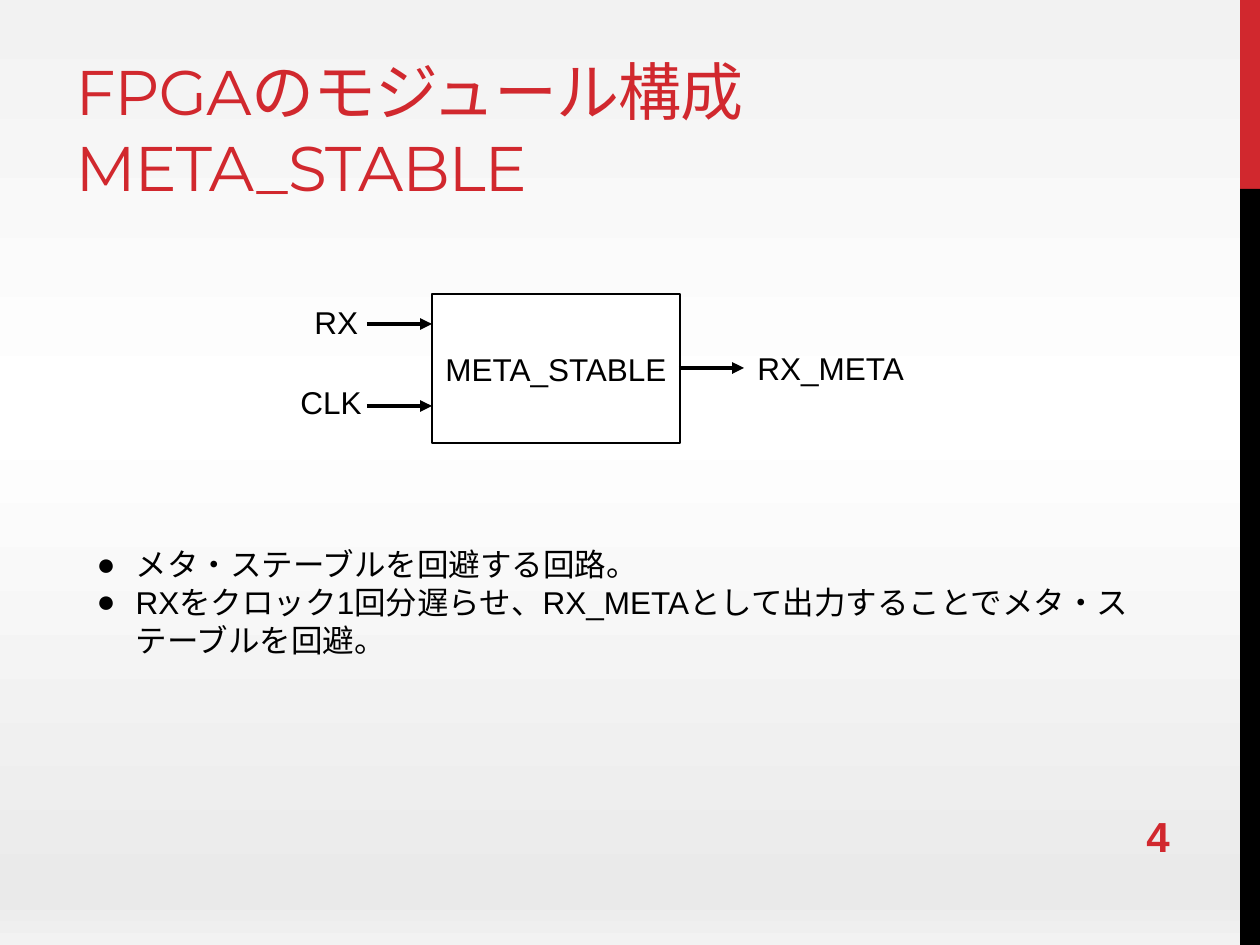
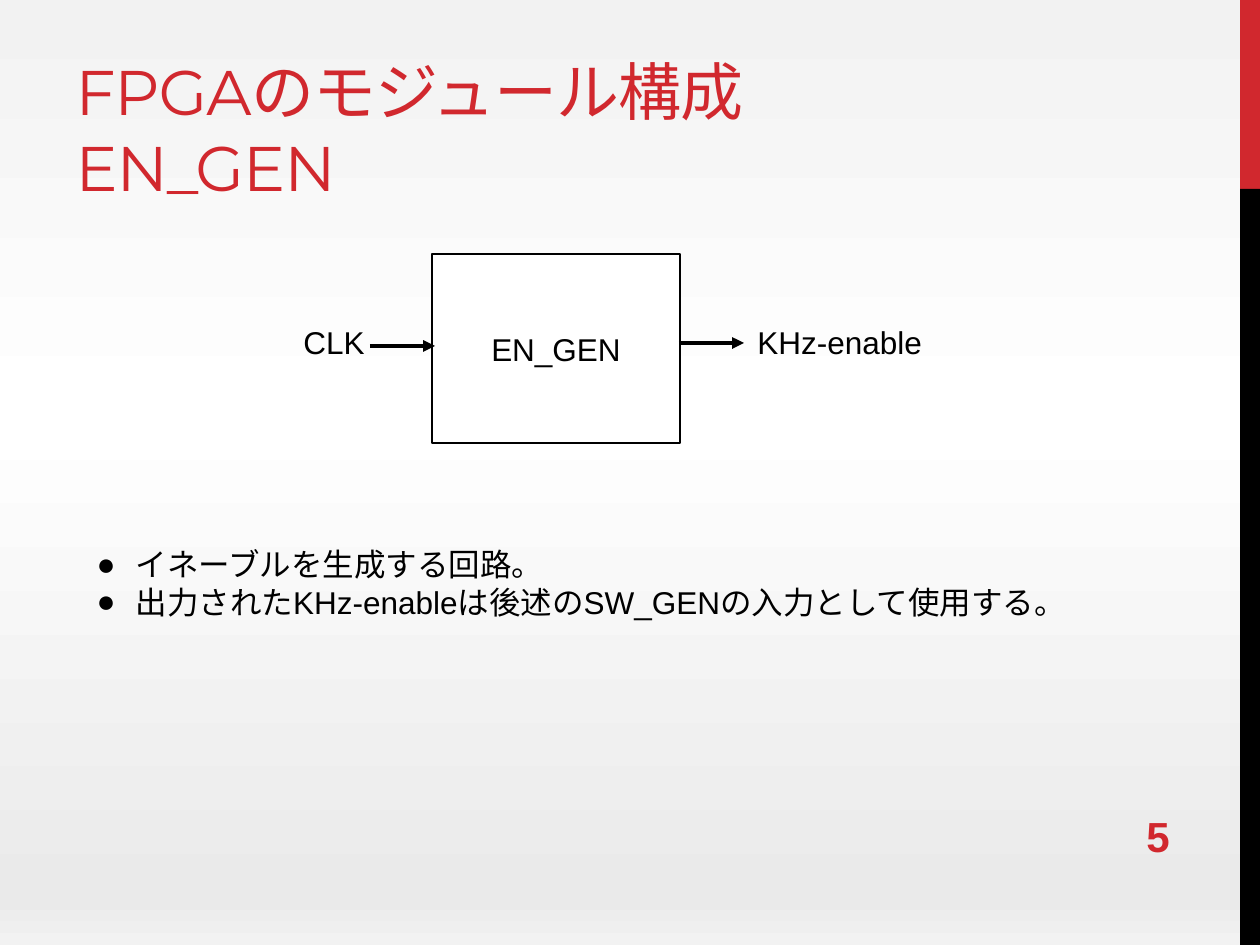
import pptx
import pptx.util
import pptx.dml.color
import pptx.enum.shapes
import pptx.enum.text
import pptx.oxml
import pptx.oxml.ns
from lxml import etree

RGB = pptx.dml.color.RGBColor
RED, BLACK, WHITE = RGB(0xD1, 0x28, 0x2E), RGB(0, 0, 0), RGB(255, 255, 255)
BACKGROUND = [(0, "F2F2F2"), (44, "FFFFFF"), (95, "EAEAEA"), (100, "F2F2F2")]
BODY_FONT, TITLE_FONT = "Arial", "Montserrat"

# Content: each port is (text, label left, label top, label width, arrow left, arrow y)
MODULES = [
    {
        "number": "4",
        "name": "META_STABLE",
        "block": (432, 294, 248, 149),
        "ports": [
            ("RX", 302, 297, 89, 367, 324),
            ("CLK", 288, 377, 139, 367, 406),
            ("RX_META", 745, 343, 273, 679, 368),
        ],
        "notes": [
            "メタ・ステーブルを回避する回路。",
            "RXをクロック1回分遅らせ、RX_METAとして出力することでメタ・ステーブルを回避。",
        ],
        "notes_height": 127,
    },
    {
        "number": "5",
        "name": "EN_GEN",
        "block": (432, 254, 248, 189),
        "ports": [
            ("CLK", 291, 317, 139, 370, 346),
            ("KHz-enable", 745, 317, 233, 679, 343),
        ],
        "notes": [
            "イネーブルを生成する回路。",
            "出力されたKHz-enableは後述のSW_GENの入力として使用する。",
        ],
        "notes_height": 89,
    },
]
ARROW_LENGTH, LABEL_HEIGHT = 65, 50
qn = pptx.oxml.ns.qn


def px(*lengths):
    return [pptx.util.Emu(round(n * 914400 / 126)) for n in lengths]


def place(shape, *box):
    shape.left, shape.top, shape.width, shape.height = px(*box)


def style(frame, size, color, font=BODY_FONT, bold=False,
          align=pptx.enum.text.PP_ALIGN.LEFT,
          anchor=pptx.enum.text.MSO_ANCHOR.TOP):
    frame.word_wrap = True
    frame.auto_size = pptx.enum.text.MSO_AUTO_SIZE.NONE
    frame.vertical_anchor = anchor
    for paragraph in frame.paragraphs:
        paragraph.alignment = align
        paragraph.space_before = pptx.util.Pt(0)
        for run in paragraph.runs:
            run.font.size = pptx.util.Pt(size)
            run.font.name = font
            run.font.bold = bold
            run.font.color.rgb = color


def add_rect(slide, box, fill):
    rect = slide.shapes.add_shape(
        pptx.enum.shapes.MSO_SHAPE.RECTANGLE, *px(*box))
    rect.shadow.inherit = False
    rect.fill.solid()
    rect.fill.fore_color.rgb = fill
    rect.line.fill.background()
    return rect


def add_label(slide, text, box, size=18, color=BLACK, **look):
    label = slide.shapes.add_textbox(*px(*box))
    label.text_frame.text = text
    style(label.text_frame, size, color, **look)


def add_arrow(slide, left, y):
    arrow = slide.shapes.add_connector(
        pptx.enum.shapes.MSO_CONNECTOR.STRAIGHT,
        *px(left, y, left + ARROW_LENGTH, y))
    arrow.line.color.rgb = BLACK
    arrow.line.width = pptx.util.Pt(2.25)
    etree.SubElement(arrow.line._get_or_add_ln(), qn("a:tailEnd"), type="triangle")
    etree.SubElement(arrow.element.spPr, qn("a:effectLst"))


def add_title(slide, name):
    title = slide.shapes.title
    place(title, 63, 21, 798, 189)
    title.text_frame.text = "FPGAのモジュール構成 " + name
    style(title.text_frame, 36, RED, TITLE_FONT,
          anchor=pptx.enum.text.MSO_ANCHOR.BOTTOM)
    for run in title.text_frame.paragraphs[0].runs:
        run.font._element.set("spc", "-60")


def add_notes(slide, notes, height):
    body = slide.placeholders[1]
    place(body, 84, 539, 1091, height)
    frame = body.text_frame
    frame.text = "\n".join(notes)
    style(frame, 18, BLACK)
    indent = px(39)[0]
    for paragraph in frame.paragraphs:
        properties = paragraph._p.get_or_add_pPr()
        properties.set("marL", str(indent))
        properties.set("indent", str(-indent))
        etree.SubElement(properties, qn("a:buFont"), typeface=BODY_FONT)
        etree.SubElement(properties, qn("a:buChar"), char="●")


def set_background(layout):
    fill = layout.background.fill
    fill.gradient()
    fill.gradient_angle = 270
    stops = layout.element.find(".//" + qn("a:gsLst"))
    for stop in list(stops):
        stops.remove(stop)
    for position, color in BACKGROUND:
        stop = etree.SubElement(stops, qn("a:gs"), pos=str(position * 1000))
        etree.SubElement(stop, qn("a:srgbClr"), val=color)


def add_bands(layout, slide):
    # Bands are drawn on a slide, then moved to the layout that all slides share
    for top, height, color in [(0, 189, RED), (189, 756, BLACK)]:
        band = add_rect(slide, (1240, top, 20, height), color)
        layout.shapes.element.append(band.element)


deck = pptx.Presentation()
deck.slide_width, deck.slide_height = px(1260, 945)
layout = deck.slide_layouts[1]
set_background(layout)

for module in MODULES:
    slide = deck.slides.add_slide(layout)
    if module is MODULES[0]:
        add_bands(layout, slide)
    add_title(slide, module["name"])
    add_label(slide, module["number"], (1134, 811, 181, 50), 24, RED, bold=True,
              anchor=pptx.enum.text.MSO_ANCHOR.MIDDLE)

    # Block diagram
    block = add_rect(slide, module["block"], WHITE)
    block.line.color.rgb = BLACK
    block.line.width = pptx.util.Pt(1.5)
    block.text_frame.text = module["name"]
    style(block.text_frame, 18, BLACK, align=pptx.enum.text.PP_ALIGN.CENTER,
          anchor=pptx.enum.text.MSO_ANCHOR.MIDDLE)
    for text, left, top, width, arrow_left, arrow_y in module["ports"]:
        add_label(slide, text, (left, top, width, LABEL_HEIGHT))
        add_arrow(slide, arrow_left, arrow_y)

    add_notes(slide, module["notes"], module["notes_height"])

deck.save("out.pptx")
